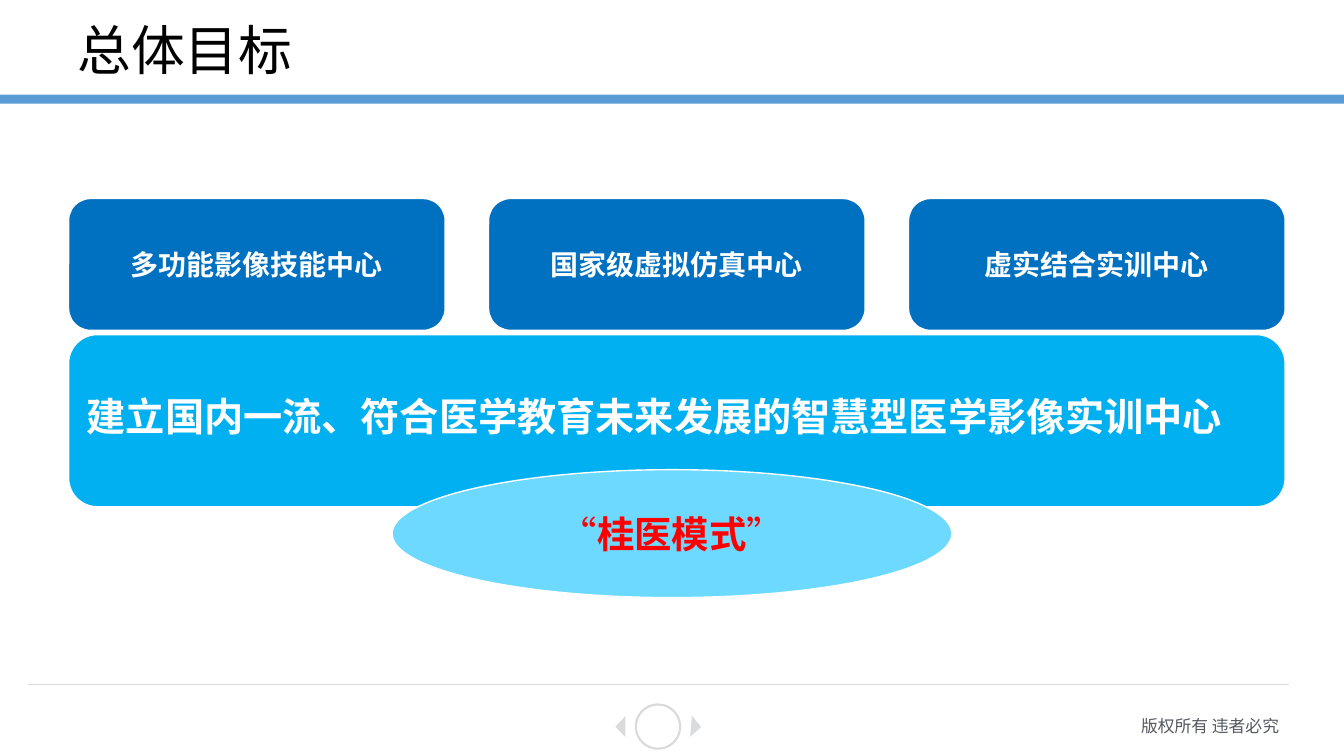
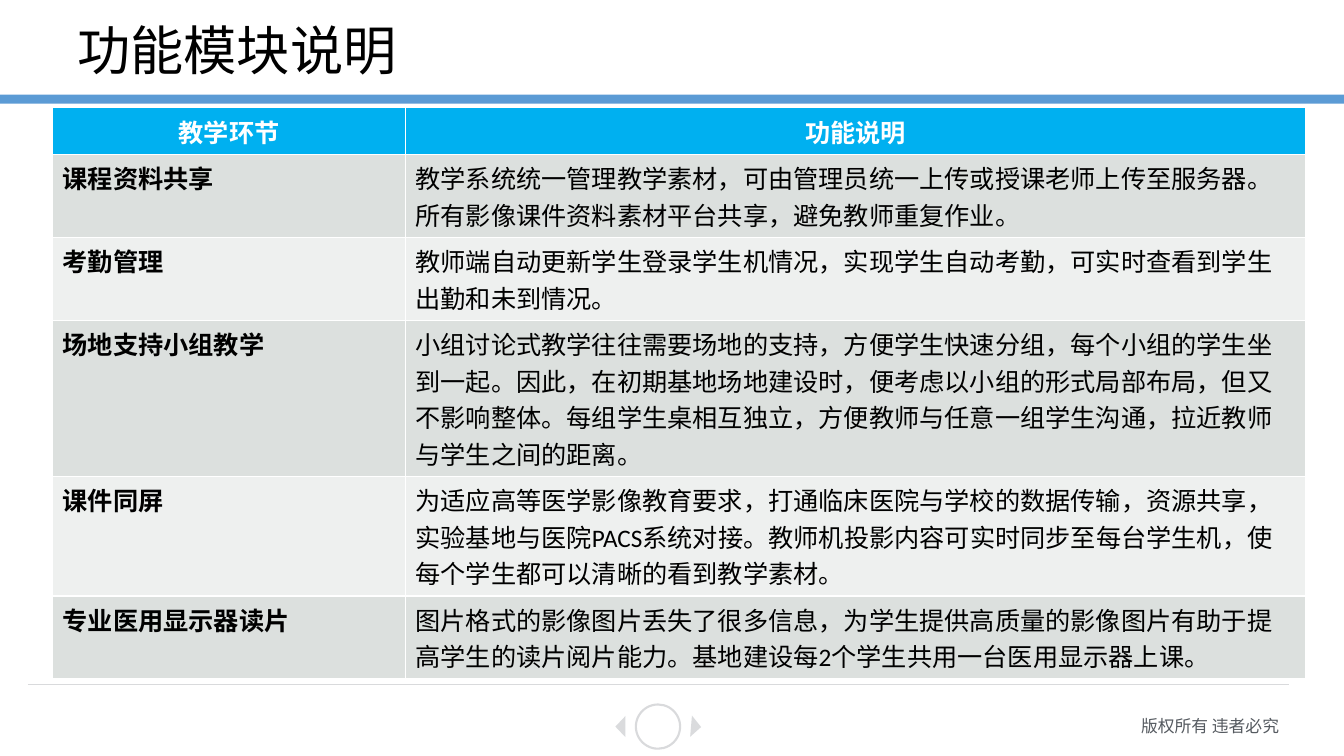
from pptx import Presentation
from pptx.dml.color import RGBColor as RGB
from pptx.enum.shapes import MSO_CONNECTOR as CONN, MSO_SHAPE as SHAPE
from pptx.enum.text import MSO_ANCHOR as ANCHOR, MSO_AUTO_SIZE as AUTO, PP_ALIGN as ALIGN
from pptx.oxml.ns import qn
from pptx.util import Pt
from lxml import etree

COLORS = {
    "band": "5B9BD5", "rule": "D9DADC", "arrow": "DADBDD", "footer": "555A60",
    "card": "0070C0", "goal": "00B0F0", "model": "6DD9FF", "red": "FF0000",
    "white": "FFFFFF", "black": "000000", "dark_row": "DCE0DE", "light_row": "EEF0EF",
}
C = {name: RGB.from_string(value) for name, value in COLORS.items()}
CJK = "Noto Sans CJK SC"


def add_text(p, text, color, size, bold=False, font=CJK, align=ALIGN.LEFT):
    p.alignment = align
    r = p.add_run()
    r.text = text
    for name, value in {"size": Pt(size), "bold": bold, "name": font}.items():
        setattr(r.font, name, value)
    r.font.color.rgb = C[color]
    etree.SubElement(r.font._element, qn("a:ea"), typeface=CJK)


def add_shape(s, kind, box, fill=None, line=None, width=1):
    sp = s.shapes.add_shape(kind, *map(Pt, box))
    sp.shadow.inherit = False
    if fill:
        sp.fill.solid()
        sp.fill.fore_color.rgb = C[fill]
    else:
        sp.fill.background()
    if line:
        sp.line.color.rgb = C[line]
        sp.line.width = Pt(width)
    else:
        sp.line.fill.background()
    tf = sp.text_frame
    tf.word_wrap = True
    tf.vertical_anchor = ANCHOR.MIDDLE
    return sp


prs = Presentation()
prs.slide_width, prs.slide_height = Pt(960), Pt(540)
layout = prs.slide_layouts[5]
title_box = {"left": 48, "top": 13, "width": 864, "height": 49.7}
for name, value in title_box.items():
    setattr(layout.placeholders[0], name, Pt(value))

slides = []
for title, size in [("总体目标", 38.4), ("功能模块说明", 38)]:
    s = prs.slides.add_slide(layout)
    tf = s.shapes.title.text_frame
    tf.auto_size = AUTO.NONE
    tf.vertical_anchor = ANCHOR.MIDDLE
    p = tf.paragraphs[0]
    p.line_spacing = 0.9
    add_text(p, title, "black", size)
    slides.append(s)
goals, modules = slides

band = add_shape(goals, SHAPE.RECTANGLE, (0, 67.6, 960, 6.4), "band")
footer = goals.shapes.add_textbox(Pt(676.8), Pt(507.6), Pt(244), Pt(21.6))
footer.text_frame.word_wrap = True
add_text(footer.text_frame.paragraphs[0], "版权所有 违者必究", "footer", 12, align=ALIGN.RIGHT)
rule = goals.shapes.add_connector(CONN.STRAIGHT, Pt(20), Pt(489), Pt(921), Pt(489))
rule.line.color.rgb = C["rule"]
rule.line.width = Pt(0.5)
etree.SubElement(rule.element.spPr, qn("a:effectLst"))
ring = add_shape(goals, SHAPE.OVAL, (454.2, 503.2, 31.6, 31.6), None, "rule", 1.5)
shared = [band, footer, rule, ring]
for left, angle in [(435.6, 270), (489.6, 94.8)]:
    arrow = add_shape(goals, SHAPE.ISOSCELES_TRIANGLE, (left, 515.4, 15.2, 7.2), "arrow")
    arrow.rotation = angle
    shared.append(arrow)
for number, sp in enumerate(shared, 100):
    sp.element.xpath(".//p:cNvPr")[0].set("id", str(number))
    layout.shapes.element.append(sp.element)

LEFT, WIDTH, GAP = 49, 869, 31
goal = add_shape(goals, SHAPE.ROUNDED_RECTANGLE, (LEFT, 239, WIDTH, 123), "goal", "white")
goal.text_frame.margin_bottom = Pt(10)
add_text(goal.text_frame.paragraphs[0], "建立国内一流、符合医学教育未来发展的智慧型医学影像实训中心",
         "white", 28, True)

model = add_shape(goals, SHAPE.OVAL, (280, 335.5, 400, 91.4), "model", "white")
for side in ("left", "top", "right", "bottom"):
    setattr(model.text_frame, f"margin_{side}", Pt(3.6))
for text, bold in [("“", False), ("桂医模式", True), ("”", False)]:
    add_text(model.text_frame.paragraphs[0], text, "red", 26.7, bold, align=ALIGN.CENTER)

centers = ["多功能影像技能中心", "国家级虚拟仿真中心", "虚实结合实训中心"]
card_w = (WIDTH - GAP * (len(centers) - 1)) / len(centers)
for i, text in enumerate(centers):
    box = (LEFT + i * (card_w + GAP), 141.8, card_w, 94.2)
    card = add_shape(goals, SHAPE.ROUNDED_RECTANGLE, box, "card", "white")
    add_text(card.text_frame.paragraphs[0], text, "white", 20, True, align=ALIGN.CENTER)

rows = [
    ("教学环节", "功能说明", 1),
    ("课程资料共享", "教学系统统一管理教学素材，可由管理员统一上传或授课老师上传至服务器。"
     "所有影像课件资料素材平台共享，避免教师重复作业。", 2),
    ("考勤管理", "教师端自动更新学生登录学生机情况，实现学生自动考勤，可实时查看到学生"
     "出勤和未到情况。", 2),
    ("场地支持小组教学", "小组讨论式教学往往需要场地的支持，方便学生快速分组，每个小组的学生坐"
     "到一起。因此，在初期基地场地建设时，便考虑以小组的形式局部布局，但又"
     "不影响整体。每组学生桌相互独立，方便教师与任意一组学生沟通，拉近教师"
     "与学生之间的距离。", 4),
    ("课件同屏", "为适应高等医学影像教育要求，打通临床医院与学校的数据传输，资源共享，"
     "实验基地与医院PACS系统对接。教师机投影内容可实时同步至每台学生机，使"
     "每个学生都可以清晰的看到教学素材。", 3),
    ("专业医用显示器读片", "图片格式的影像图片丢失了很多信息，为学生提供高质量的影像图片有助于提"
     "高学生的读片阅片能力。基地建设每2个学生共用一台医用显示器上课。", 2),
]
heights = [lines * 21.6 + 7.2 for _, _, lines in rows]
table = modules.shapes.add_table(len(rows), 2, Pt(37.6), Pt(77), Pt(895), Pt(sum(heights))).table
for column, width in zip(table.columns, (252, 643)):
    column.width = Pt(width)
for i, (step, description, _) in enumerate(rows):
    table.rows[i].height = Pt(heights[i])
    header = i == 0
    fill = "goal" if header else "dark_row" if i % 2 else "light_row"
    for j, text in enumerate((step, description)):
        cell = table.cell(i, j)
        cell.fill.solid()
        cell.fill.fore_color.rgb = C[fill]
        add_text(cell.text_frame.paragraphs[0], text, "white" if header else "black", 18,
                 header or j == 0, "Calibri", ALIGN.CENTER if header else ALIGN.LEFT)

prs.save("out.pptx")
